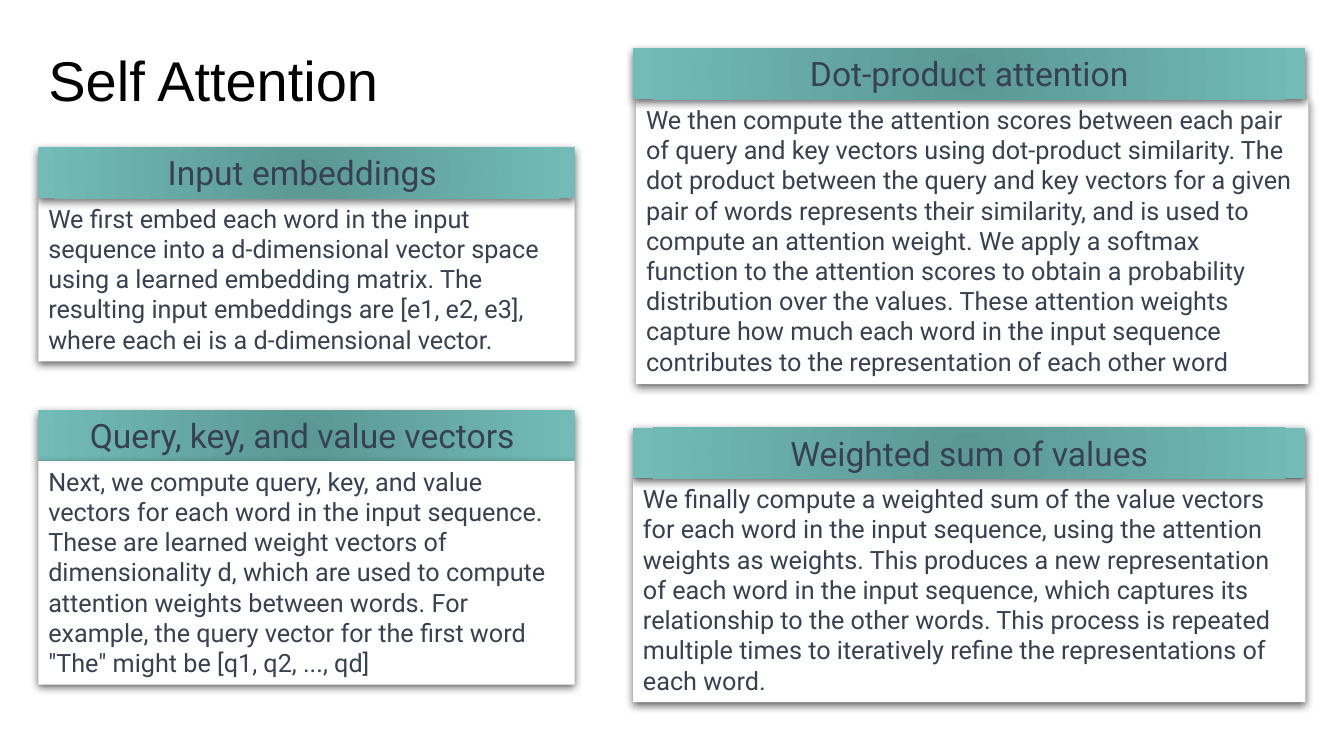
from dataclasses import dataclass

from lxml import etree
from pptx import Presentation
from pptx.dml.color import RGBColor
from pptx.enum.shapes import MSO_SHAPE
from pptx.enum.text import MSO_ANCHOR, MSO_AUTO_SIZE, PP_ALIGN
from pptx.oxml.ns import qn
from pptx.shapes.autoshape import Shape
from pptx.util import Pt

RECT = MSO_SHAPE.RECTANGLE
TOP = MSO_ANCHOR.TOP
NO_AUTOFIT = MSO_AUTO_SIZE.NONE
LEFT, CENTER = PP_ALIGN.LEFT, PP_ALIGN.CENTER

WHITE = RGBColor(0xFF, 0xFF, 0xFF)
BLACK = RGBColor(0x00, 0x00, 0x00)
SLATE = RGBColor(0x37, 0x41, 0x51)
TEAL_DARK = RGBColor(0x5B, 0x98, 0x94)
TEAL_LIGHT = RGBColor(0x72, 0xBB, 0xB6)

HEADER_H = Pt(36.4)
LEFT_X, LEFT_W = Pt(27.4), Pt(383)
RIGHT_X, RIGHT_W = Pt(452.2), Pt(480.2)


@dataclass
class Panel:
    heading: str
    body: str
    x: int
    y: int
    w: int
    body_h: int
    body_shift: int = 0
    body_in_front: bool = False


PANELS = [
    Panel("Input embeddings ",
          "We first embed each word in the input sequence into a d-dimensional "
          "vector space using a learned embedding matrix. The resulting input "
          "embeddings are [e1, e2, e3], where each ei is a d-dimensional vector.",
          LEFT_X, Pt(105.1), LEFT_W, Pt(116.6)),
    Panel("Query, key, and value vectors ",
          "Next, we compute query, key, and value vectors for each word in the "
          "input sequence. These are learned weight vectors of dimensionality d, "
          "which are used to compute attention weights between words. For example, "
          'the query vector for the first word "The" might be [q1, q2, ..., qd]',
          LEFT_X, Pt(292.9), LEFT_W, Pt(159.8), body_in_front=True),
    Panel("Dot-product attention",
          "We then compute the attention scores between each pair of query and key "
          "vectors using dot-product similarity. The dot product between the query "
          "and key vectors for a given pair of words represents their similarity, "
          "and is used to compute an attention weight. We apply a softmax function "
          "to the attention scores to obtain a probability distribution over the "
          "values. These attention weights capture how much each word in the input "
          "sequence contributes to the representation of each other word",
          RIGHT_X, Pt(34.4), RIGHT_W, Pt(203.6), body_shift=Pt(2.2)),
    Panel("Weighted sum of values",
          "We finally compute a weighted sum of the value vectors for each word in "
          "the input sequence, using the attention weights as weights. This produces "
          "a new representation of each word in the input sequence, which captures "
          "its relationship to the other words. This process is repeated multiple "
          "times to iteratively refine the representations of each word.",
          RIGHT_X, Pt(305.4), RIGHT_W, Pt(159.8)),
]


def set_text(sp: Shape, text: str, font: str, size: int,
             color: RGBColor, align: PP_ALIGN) -> None:
    tf = sp.text_frame
    tf.text = text
    tf.word_wrap = True
    tf.auto_size = NO_AUTOFIT
    tf.vertical_anchor = TOP
    p = tf.paragraphs[0]
    p.alignment = align
    f = p.runs[0].font
    f.name, f.size, f.color.rgb = font, Pt(size), color


def add_shadow(sp: Shape) -> None:
    sp.shadow.inherit = False
    effects = sp._element.spPr.find(qn("a:effectLst"))
    shadow = etree.SubElement(effects, qn("a:outerShdw"), blurRad=str(Pt(6)),
                              dist=str(Pt(2)), dir="5400000", algn="t",
                              rotWithShape="0")
    color = etree.SubElement(shadow, qn("a:srgbClr"), val=str(BLACK))
    etree.SubElement(color, qn("a:alpha"), val="60000")


def fill_radial(sp: Shape) -> None:
    sp.fill.gradient()
    for stop, color, pos in zip(sp.fill.gradient_stops,
                                (TEAL_DARK, TEAL_LIGHT), (0, 1)):
        stop.color.rgb = color
        stop.position = pos
    grad = sp._element.spPr.find(qn("a:gradFill"))
    radial = etree.Element(qn("a:path"), path="circle")
    etree.SubElement(radial, qn("a:fillToRect"),
                     l="100000", t="100000", r="100000", b="100000")
    grad.replace(grad.find(qn("a:lin")), radial)


def add_box(x: int, y: int, w: int, h: int) -> Shape:
    sp = s.shapes.add_shape(RECT, x, y, w, h)
    sp.line.fill.background()
    add_shadow(sp)
    return sp


def add_header(panel: Panel) -> None:
    sp = add_box(panel.x, panel.y, panel.w, HEADER_H)
    fill_radial(sp)
    set_text(sp, panel.heading, "Roboto", 24, SLATE, CENTER)


def add_body(panel: Panel) -> None:
    sp = add_box(panel.x + panel.body_shift, panel.y + HEADER_H,
                 panel.w, panel.body_h)
    sp.fill.solid()
    sp.fill.fore_color.rgb = WHITE
    set_text(sp, panel.body, "Roboto", 18, SLATE, LEFT)


prs = Presentation()
prs.slide_width, prs.slide_height = Pt(960), Pt(540)
s = prs.slides.add_slide(prs.slide_layouts[5])

# Title
title = s.shapes.title
title.left, title.top, title.width, title.height = LEFT_X, Pt(28.8), Pt(349.2), Pt(55.4)
set_text(title, "Self Attention", "Arial", 40, BLACK, LEFT)

# Panels: the part drawn last covers the other's shadow
for panel in PANELS:
    parts = [add_body, add_header]
    if panel.body_in_front:
        parts.reverse()
    for add_part in parts:
        add_part(panel)

prs.save("out.pptx")
